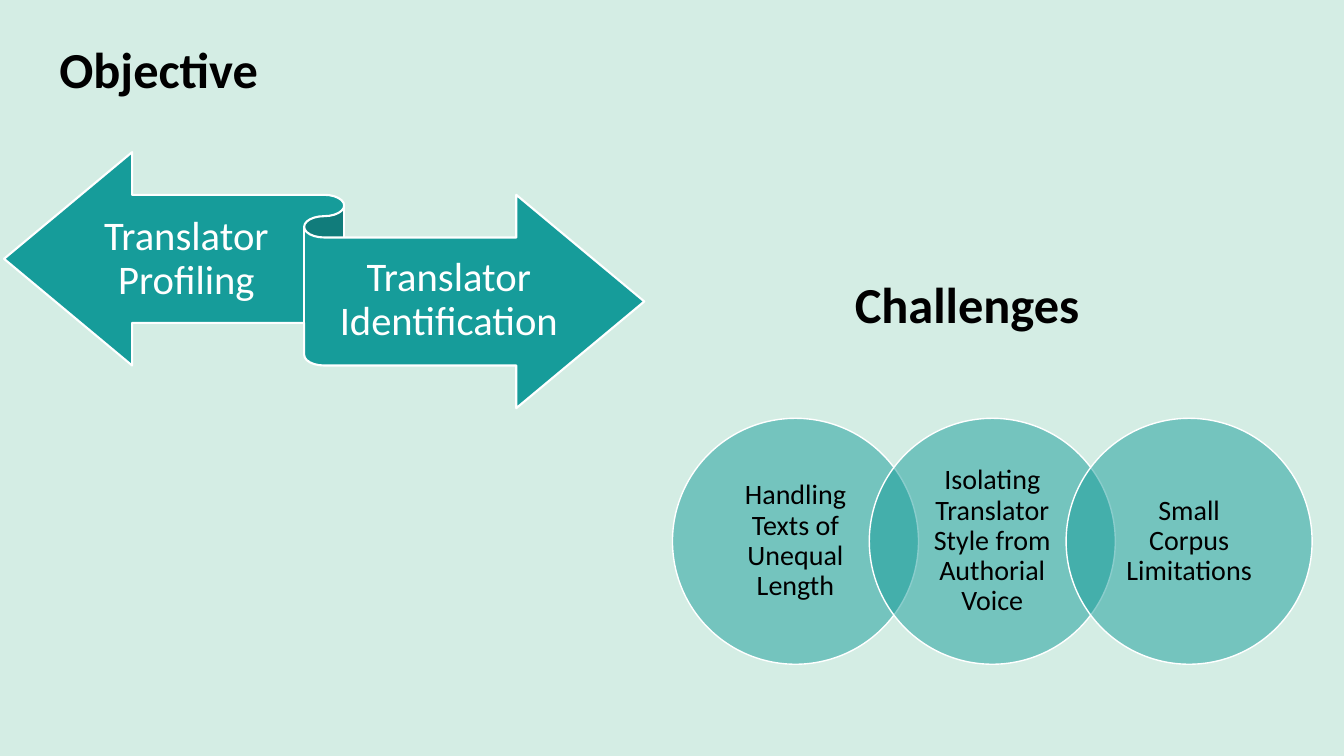
import pptx
import pptx.dml.color
import pptx.enum.shapes
import pptx.enum.text
import pptx.oxml.xmlchemy
import pptx.util
from lxml import etree

Inches = pptx.util.Inches
SHAPES = pptx.enum.shapes.MSO_SHAPE
ALIGN = pptx.enum.text.PP_ALIGN
ANCHOR = pptx.enum.text.MSO_ANCHOR
AUTO_SIZE = pptx.enum.text.MSO_AUTO_SIZE

MINT, TEAL, WHITE, BLACK = "D4EDE4", "169C9A", "FFFFFF", "000000"
FONT = "Calibri"


def color(hex_value):
    return pptx.dml.color.RGBColor.from_string(hex_value)


def apply_format(target, values):
    for name, value in values.items():
        setattr(target, name, value)


def write_text(shape, text, size, hex_value, frame_format, paragraph_format, bold=False):
    frame = shape.text_frame
    apply_format(frame, frame_format)
    paragraph = frame.paragraphs[0]
    apply_format(paragraph, paragraph_format)
    run = paragraph.add_run()
    run.text = text
    apply_format(run.font, {"name": FONT, "size": pptx.util.Pt(size), "bold": bold})
    run.font.color.rgb = color(hex_value)


def centered_frame(side, top, bottom):
    return {
        "word_wrap": True,
        "auto_size": AUTO_SIZE.NONE,
        "vertical_anchor": ANCHOR.MIDDLE,
        "margin_left": Inches(side),
        "margin_right": Inches(side),
        "margin_top": Inches(top),
        "margin_bottom": Inches(bottom),
    }


CENTERED = {"alignment": ALIGN.CENTER, "line_spacing": 0.9}


def add_teal_shape(slide, kind, left, top, width, height, line_width, alpha=None):
    shape = slide.shapes.add_shape(
        kind, Inches(left), Inches(top), Inches(width), Inches(height))
    shape.shadow.inherit = False
    shape.fill.solid()
    shape.fill.fore_color.rgb = color(TEAL)
    shape.line.color.rgb = color(WHITE)
    shape.line.width = pptx.util.Pt(line_width)
    if alpha is not None:
        fill_color = shape.fill._xPr.find(".//" + pptx.oxml.ns.qn("a:srgbClr"))
        etree.SubElement(fill_color, pptx.oxml.ns.qn("a:alpha"), val=str(alpha * 1000))
    return shape


def add_heading(slide, text, left, top, width, height=0.71):
    box = slide.shapes.add_textbox(
        Inches(left), Inches(top), Inches(width), Inches(height))
    frame_format = {"word_wrap": False, "auto_size": AUTO_SIZE.SHAPE_TO_FIT_TEXT}
    write_text(box, text, 36, BLACK, frame_format, {"alignment": ALIGN.LEFT}, bold=True)


def add_objective_ribbon(slide, left, top, width, height):
    add_teal_shape(slide, SHAPES.LEFT_RIGHT_RIBBON, left, top, width, height, 1.5)
    # Label areas as fractions of the ribbon: left, top, width
    labels = [
        ("Translator Profiling", 0.12, 0.175, 0.33),
        ("Translator Identification", 0.5, 0.335, 0.39),
    ]
    for text, x, y, label_width in labels:
        box = slide.shapes.add_textbox(
            Inches(left + x * width), Inches(top + y * height),
            Inches(label_width * width), Inches(0.49 * height))
        write_text(box, text, 29, WHITE, centered_frame(0, 0.11, 0.12), CENTERED)


def add_challenge_circles(slide, left, top, diameter):
    challenges = [
        "Handling Texts of Unequal Length",
        "Isolating Translator Style from Authorial Voice",
        "Small Corpus Limitations",
    ]
    # Neighbouring circles overlap by a fifth of their diameter
    step = 0.8 * diameter
    for index, text in enumerate(challenges):
        circle = add_teal_shape(
            slide, SHAPES.OVAL, left + index * step, top, diameter, diameter, 1, alpha=50)
        write_text(circle, text, 20, BLACK, centered_frame(0.13, 0.03, 0.03), CENTERED)


def main():
    presentation = pptx.Presentation()
    presentation.slide_width = Inches(13.33)
    presentation.slide_height = Inches(7.5)
    slide = presentation.slides.add_slide(presentation.slide_layouts[6])
    slide.background.fill.solid()
    slide.background.fill.fore_color.rgb = color(MINT)

    # Objective, upper left
    add_heading(slide, "Objective", 0.49, 0.33, 2.53)
    add_objective_ribbon(slide, 0.04, 1.51, 6.35, 2.54)

    # Challenges, lower right
    add_heading(slide, "Challenges", 8.38, 2.66, 2.94)
    add_challenge_circles(slide, 6.67, 4.15, 2.44)

    presentation.save("out.pptx")


if __name__ == "__main__":
    main()
